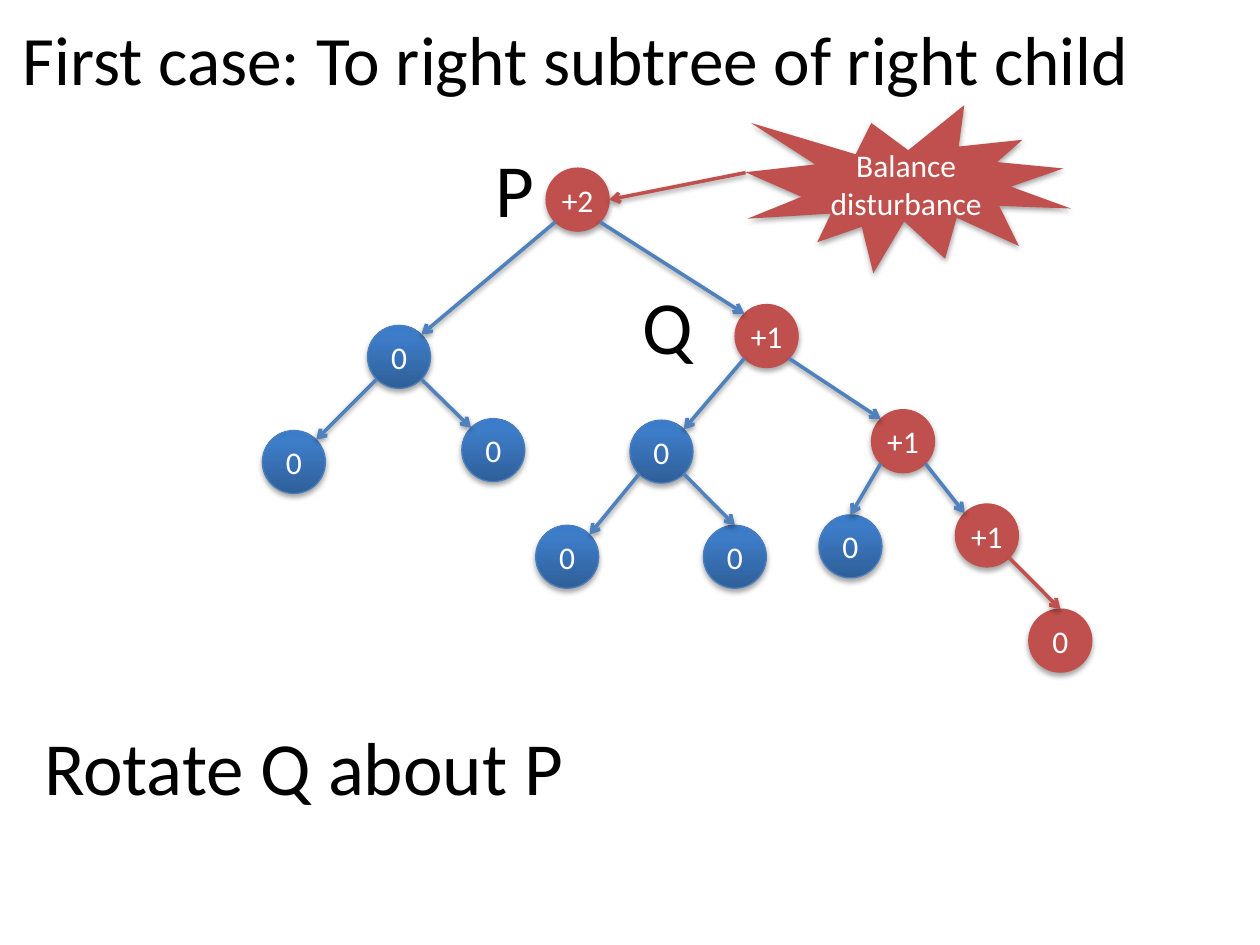
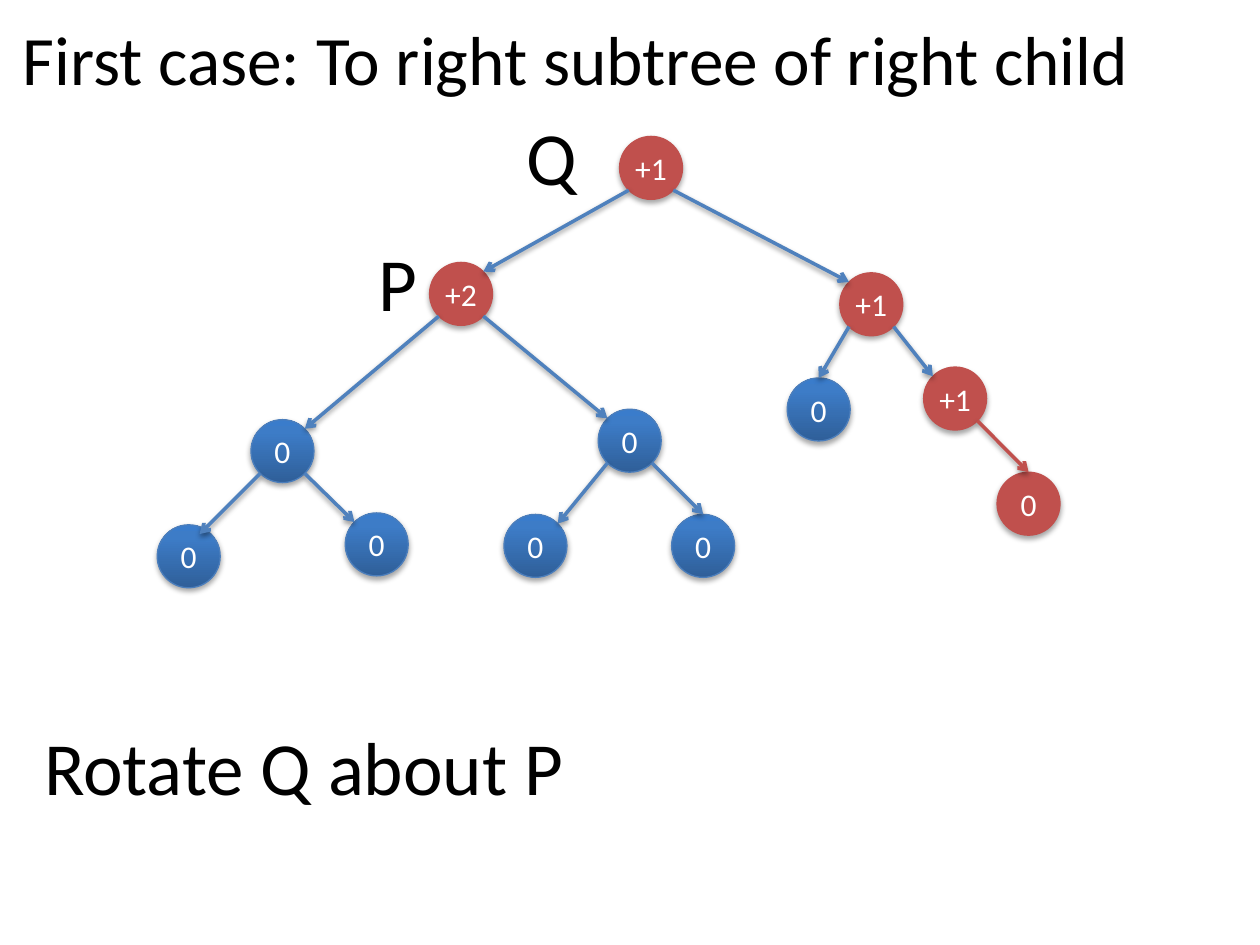
"""Two slides on rebalancing an AVL tree by rotating Q about P."""
from copy import deepcopy
from dataclasses import dataclass
from math import sqrt

from pptx import Presentation
from pptx.dml.color import RGBColor
from pptx.enum.shapes import MSO_CONNECTOR, MSO_SHAPE
from pptx.enum.text import MSO_ANCHOR, PP_ALIGN
from pptx.oxml import parse_xml
from pptx.oxml.ns import nsdecls, qn
from pptx.oxml.xmlchemy import OxmlElement
from pptx.util import Cm, Pt

CIRCLE = MSO_SHAPE.OVAL
BURST = MSO_SHAPE.EXPLOSION1
STRAIGHT = MSO_CONNECTOR.STRAIGHT
CENTER = PP_ALIGN.CENTER
LEFT = PP_ALIGN.LEFT
MIDDLE = MSO_ANCHOR.MIDDLE
TOP = MSO_ANCHOR.TOP


@dataclass(frozen=True)
class Theme:
    """Colours, type sizes and line widths shared by the slides."""
    font: str = "Calibri"
    black: str = "000000"
    white: str = "FFFFFF"
    red: str = "C0504D"
    arrow_blue: str = "4F81BD"
    rim_blue: str = "4B7EBC"
    gradient: tuple = ((0, "2F5F99"), (0.8, "3D7CC7"), (1, "3A7CCB"))
    title_size: float = 39.6
    text_size: float = 42.9
    label_size: float = 18
    rim_width: float = 0.75
    arrow_width: float = 2
    shadow_blur: float = 3.1


THEME = Theme()
DIAMETER = 1.27
CORNER = DIAMETER / 2 * (1 - 1 / sqrt(2))
LETTER_GAPS = {"P": 1.27, "Q": 2.12}
LETTER_RISE = 0.64


@dataclass(frozen=True)
class Node:
    """A tree node placed relative to its parent, in centimetres."""
    label: str
    across: float
    down: float
    children: tuple = ()
    red: bool = False
    letter: str = ""
    top_entry: bool = False
    red_arrow: bool = False
    nudge: float = 0


def color(code):
    """Return the colour for a hexadecimal code."""
    return RGBColor.from_string(code)


def add_shadow(element, opacity, distance):
    """Put a soft shadow straight below a shape or connector."""
    element.spPr.append(parse_xml(
        f'<a:effectLst {nsdecls("a")}>'
        f'<a:outerShdw blurRad="{Pt(THEME.shadow_blur)}" dist="{Pt(distance)}" '
        f'dir="5400000" rotWithShape="0"><a:srgbClr val="{THEME.black}">'
        f'<a:alpha val="{opacity * 1000}"/></a:srgbClr></a:outerShdw></a:effectLst>'))


def write(shape, text, size, ink, align=LEFT, anchor=TOP):
    """Write one formatted paragraph into a shape."""
    frame = shape.text_frame
    frame.word_wrap = True
    frame.vertical_anchor = anchor
    frame.text = text
    para = frame.paragraphs[0]
    para.alignment = align
    span = para.runs[0]
    span.font.name = THEME.font
    span.font.size = Pt(size)
    span.font.color.rgb = color(ink)


def add_text(page, text, left, top, width, size=THEME.text_size):
    """Add a line of large black text."""
    box = page.shapes.add_textbox(Cm(left), Cm(top), Cm(width), Cm(2.41))
    write(box, text, size, THEME.black)


def fill_blue_gradient(shape):
    """Fill a shape with blue that darkens towards its bottom."""
    fill = shape.fill
    fill.gradient()
    fill.gradient_angle = 90
    last_stop = shape._element.spPr.findall(".//" + qn("a:gs"))[-1]
    last_stop.addnext(deepcopy(last_stop))
    for stop, (position, code) in zip(fill.gradient_stops, THEME.gradient):
        stop.position = position
        stop.color.rgb = color(code)


def fill_red(shape):
    """Fill a shape with plain red."""
    shape.fill.solid()
    shape.fill.fore_color.rgb = color(THEME.red)


def add_circle(page, node, left, top):
    """Add the circle of a node with its balance factor."""
    circle = page.shapes.add_shape(CIRCLE, Cm(left), Cm(top), Cm(DIAMETER), Cm(DIAMETER))
    if node.red:
        fill_red(circle)
    else:
        fill_blue_gradient(circle)
    circle.line.color.rgb = color(THEME.red if node.red else THEME.rim_blue)
    circle.line.width = Pt(THEME.rim_width)
    add_shadow(circle._element, 35, 1.8)
    frame = circle.text_frame
    frame.margin_left = frame.margin_right = frame.margin_top = frame.margin_bottom = 0
    write(circle, node.label, THEME.label_size, THEME.white, CENTER, MIDDLE)
    return circle


def add_arrow(page, start, end, code):
    """Add a straight arrow between two points in centimetres."""
    arrow = page.shapes.add_connector(STRAIGHT, *map(Cm, start + end))
    arrow.line.color.rgb = color(code)
    arrow.line.width = Pt(THEME.arrow_width)
    head = OxmlElement("a:tailEnd")
    head.set("type", "arrow")
    arrow.line._get_or_add_ln().append(head)
    add_shadow(arrow._element, 38, 1.6)
    return arrow


def draw_tree(page, node, parent_left=0, parent_top=0):
    """Draw a node, its letter, its subtrees and the arrows to them."""
    left, top = parent_left + node.across, parent_top + node.down
    circle = add_circle(page, node, left + node.nudge, top)
    if node.letter:
        add_text(page, node.letter, left - LETTER_GAPS[node.letter], top - LETTER_RISE, 1.48)
    near, far = CORNER, DIAMETER - CORNER
    for child in node.children:
        child_circle = draw_tree(page, child, left, top)
        leave, enter = (near, far) if child.across < 0 else (far, near)
        arrow = add_arrow(
            page, (left + leave, top + far),
            (left + child.across + enter, top + child.down + near),
            THEME.red if child.red_arrow else THEME.arrow_blue)
        if child.top_entry:
            arrow.end_connect(child_circle, 0)
    return circle


def left_subtree(nudge=0):
    """Return the left subtree of P."""
    return Node("0", -3.6, 3.17, (
        Node("0", -2.12, 2.12, nudge=nudge), Node("0", 1.9, 1.88)))


def moved_subtree(across, down):
    """Return the subtree that passes from Q to P."""
    return Node("0", across, down, (
        Node("0", -1.9, 2.12), Node("0", 1.48, 2.12, top_entry=True)))


def right_subtree(across, down):
    """Return the right subtree of Q, which holds the new node."""
    new_node = Node("0", 1.48, 2.12, red=True, top_entry=True, red_arrow=True)
    return Node("+1", across, down, (
        Node("0", -1.06, 2.12, top_entry=True),
        Node("+1", 1.69, 1.9, (new_node,), red=True)), red=True)


def add_burst(page, target):
    """Add the disturbance burst and its arrow to the target circle."""
    left, top = 15.03, 2.12
    burst = page.shapes.add_shape(BURST, Cm(left), Cm(top), Cm(6.56), Cm(3.39))
    fill_red(burst)
    burst.line.fill.background()
    add_shadow(burst._element, 35, 1.8)
    write(burst, "Balance disturbance", THEME.label_size, THEME.white, CENTER, MIDDLE)
    tip = (target.left + target.width).cm if hasattr(target.left + target.width, "cm") \
        else target.left.cm + target.width.cm
    add_arrow(page, (left, top + 1.36), (tip, target.top.cm + DIAMETER / 2), THEME.red)


def add_page(deck, tree):
    """Add a page with the shared texts and a tree, and return both."""
    page = deck.slides.add_slide(deck.slide_layouts[6])
    add_text(page, "First case: To right subtree of right child", 0.21, 0.21, 24.77,
             THEME.title_size)
    root = draw_tree(page, tree)
    add_text(page, "Rotate Q about P", 0.64, 14.39, 24.77)
    return page, root


def main():
    """Build the deck and save it."""
    deck = Presentation()
    deck.slide_width, deck.slide_height = Cm(25.4), Cm(19.05)

    old_q = Node("+1", 3.81, 2.75, (moved_subtree(-2.12, 2.33), right_subtree(2.75, 2.12)),
                 red=True, letter="Q")
    before = Node("+2", 11.01, 3.39, (left_subtree(), old_q), red=True, letter="P")
    page, root = add_page(deck, before)
    add_burst(page, root)

    new_p = Node("+2", -3.83, 2.54, (left_subtree(nudge=0.23), moved_subtree(3.4, 2.96)),
                 red=True, letter="P")
    after = Node("+1", 12.49, 2.75, (new_p, right_subtree(4.44, 2.75)), red=True, letter="Q")
    add_page(deck, after)

    deck.save("out.pptx")


if __name__ == "__main__":
    main()
